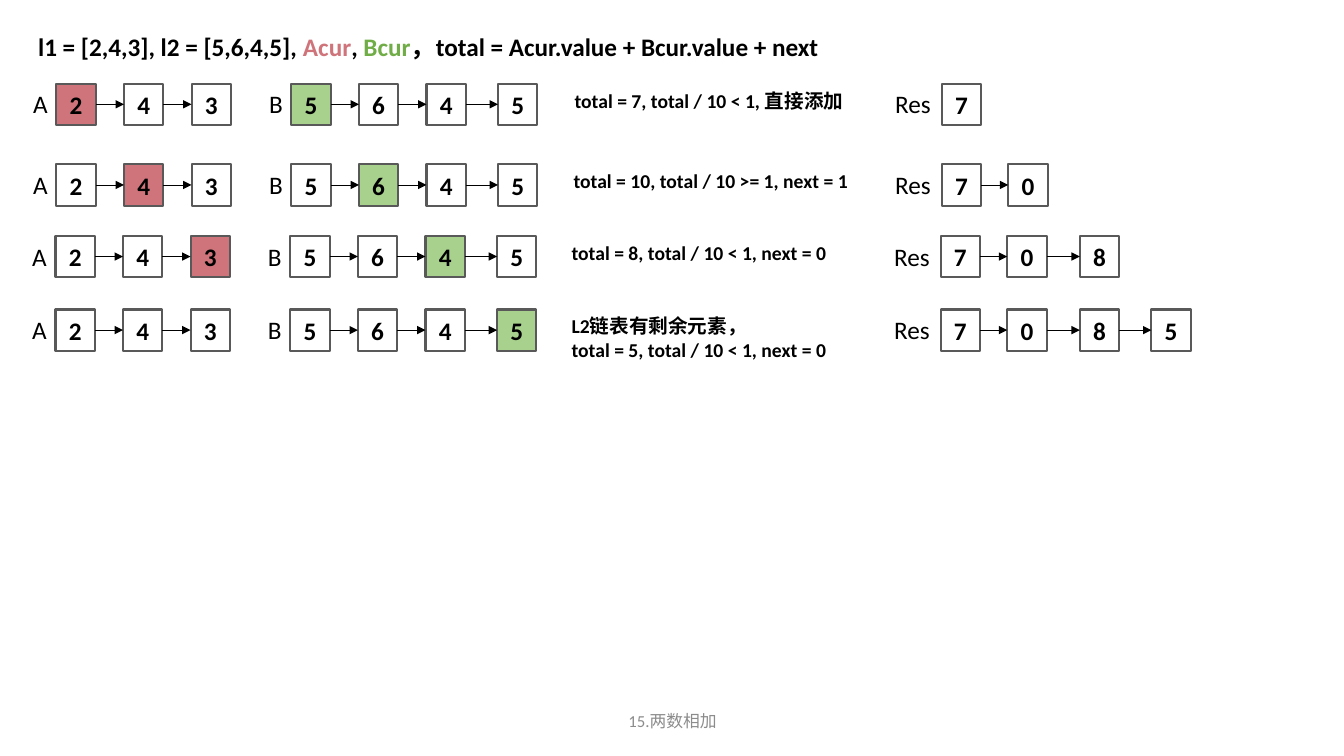
from dataclasses import dataclass

from lxml import etree
from pptx import Presentation
from pptx.dml.color import RGBColor
from pptx.enum.shapes import MSO_CONNECTOR, MSO_SHAPE
from pptx.enum.text import MSO_ANCHOR, MSO_AUTO_SIZE, PP_ALIGN
from pptx.oxml.ns import qn
from pptx.shapes.autoshape import Shape
from pptx.slide import Slide
from pptx.util import Inches, Pt

STRAIGHT = MSO_CONNECTOR.STRAIGHT
RECTANGLE = MSO_SHAPE.RECTANGLE
MIDDLE = MSO_ANCHOR.MIDDLE
TOP = MSO_ANCHOR.TOP
GROW = MSO_AUTO_SIZE.SHAPE_TO_FIT_TEXT
FIXED = MSO_AUTO_SIZE.NONE
LEFT = PP_ALIGN.LEFT
CENTER = PP_ALIGN.CENTER

BLACK = RGBColor(0x00, 0x00, 0x00)
WHITE = RGBColor(0xFF, 0xFF, 0xFF)
GRAY = RGBColor(0x8C, 0x8C, 0x8C)
BORDER = RGBColor(0x59, 0x59, 0x59)
RED = RGBColor(0xCF, 0x74, 0x7A)
GREEN = RGBColor(0x70, 0xAD, 0x47)
LIGHT_GREEN = RGBColor(0xA9, 0xD1, 0x8E)

FONT = "Calibri"
NODE_WIDTH, NODE_HEIGHT = 0.39, 0.41
LEFT_SIDE, RIGHT_SIDE = 1, 3


@dataclass(frozen=True)
class LinkedList:
    label: str
    label_left: float
    label_width: float
    left: float
    offsets: tuple[float, ...]
    highlight: RGBColor = WHITE


@dataclass(frozen=True)
class Step:
    top: float
    shift: float
    a_current: int | None
    b_current: int
    comment: str
    comment_left: float
    comment_width: float
    wrap: bool
    result: str


LIST_A = LinkedList("A", 0.23, 0.35, 0.56, (0, 0.67, 1.34), RED)
LIST_B = LinkedList("B", 2.57, 0.34, 2.89, (0, 0.67, 1.34, 2.05), LIGHT_GREEN)
RESULT = LinkedList("Res", 8.78, 0.56, 9.34, (0, 0.66, 1.38, 2.09))

STEPS = (
    Step(0.83, 0, 0, 0, "total = 7, total / 10 < 1, 直接添加", 5.6, 2.89, True, "7"),
    Step(1.63, 0, 1, 1, "total = 10, total / 10 >= 1, next = 1", 5.59, 2.94, False, "70"),
    Step(2.34, -0.01, 2, 2, "total = 8, total / 10 < 1, next = 0", 5.57, 2.75, False, "708"),
    Step(3.07, -0.01, None, 3, "L2链表有剩余元素，\ntotal = 5, total / 10 < 1, next = 0",
         5.57, 3.21, True, "7085"),
)

TITLE = (
    ("l1 = [2,4,3], l2 = [5,6,4,5], ", BLACK),
    ("Acur", RED),
    (", ", BLACK),
    ("Bcur", GREEN),
    ("，total = Acur.value + Bcur.value + next", BLACK),
)


def write_text(shape: Shape, *runs: tuple[str, RGBColor], size: float = 18,
               bold: bool = False, align: PP_ALIGN = LEFT, anchor: MSO_ANCHOR = TOP,
               wrap: bool = True, auto_size: MSO_AUTO_SIZE = FIXED) -> None:
    """Fill the shape with one paragraph of coloured runs; newlines become line breaks."""
    frame = shape.text_frame
    frame.word_wrap = wrap
    frame.auto_size = auto_size
    frame.vertical_anchor = anchor
    paragraph = frame.paragraphs[0]
    paragraph.alignment = align
    for text, color in runs:
        for index, line in enumerate(text.split("\n")):
            if index:
                paragraph.add_line_break()
            run = paragraph.add_run()
            run.text = line
            run.font.name = FONT
            run.font.size = Pt(size)
            run.font.bold = bold
            run.font.color.rgb = color


def add_text_box(slide: Slide, left: float, top: float, width: float, height: float) -> Shape:
    return slide.shapes.add_textbox(Inches(left), Inches(top), Inches(width), Inches(height))


def add_node(slide: Slide, value: str, left: float, top: float, fill: RGBColor) -> Shape:
    node = slide.shapes.add_shape(
        RECTANGLE, Inches(left), Inches(top), Inches(NODE_WIDTH), Inches(NODE_HEIGHT))
    node.shadow.inherit = False
    node.fill.solid()
    node.fill.fore_color.rgb = fill
    node.line.color.rgb = BORDER
    node.line.width = Pt(1.5)
    write_text(node, (value, BLACK), bold=True, align=CENTER, anchor=MIDDLE)
    return node


def add_arrow(slide: Slide, source: Shape, target: Shape) -> None:
    arrow = slide.shapes.add_connector(STRAIGHT, 0, 0, 0, 0)
    arrow.begin_connect(source, RIGHT_SIDE)
    arrow.end_connect(target, LEFT_SIDE)
    arrow.line.color.rgb = BLACK
    arrow.line.width = Pt(0.5)
    etree.SubElement(arrow.line._get_or_add_ln(), qn("a:tailEnd"), type="triangle")
    etree.SubElement(arrow._element.spPr, qn("a:effectLst"))


def add_linked_list(slide: Slide, linked_list: LinkedList, values: str,
                    step: Step, current: int | None = None) -> None:
    label = add_text_box(slide, linked_list.label_left + step.shift, step.top,
                         linked_list.label_width, 0.4)
    write_text(label, (linked_list.label, BLACK), wrap=False, auto_size=GROW)
    previous = None
    for index, (value, offset) in enumerate(zip(values, linked_list.offsets)):
        fill = linked_list.highlight if index == current else WHITE
        node = add_node(slide, value, linked_list.left + offset + step.shift, step.top, fill)
        if previous is not None:
            add_arrow(slide, previous, node)
        previous = node


def add_step(slide: Slide, step: Step) -> None:
    add_linked_list(slide, LIST_A, "243", step, step.a_current)
    add_linked_list(slide, LIST_B, "5645", step, step.b_current)
    height = 0.57 if "\n" in step.comment else 0.34
    comment = add_text_box(slide, step.comment_left, step.top, step.comment_width, height)
    write_text(comment, (step.comment, BLACK), size=14, bold=True,
               wrap=step.wrap, auto_size=GROW)
    add_linked_list(slide, RESULT, step.result, step)


def main() -> None:
    presentation = Presentation()
    presentation.slide_width = Inches(13.33)
    presentation.slide_height = Inches(7.5)
    slide = presentation.slides.add_slide(presentation.slide_layouts[6])

    footer = add_text_box(slide, 4.42, 6.95, 4.5, 0.4)
    write_text(footer, ("15.两数相加", GRAY), size=12, align=CENTER, anchor=MIDDLE)
    title = add_text_box(slide, 0.28, 0.26, 8.94, 0.4)
    write_text(title, *TITLE, bold=True, auto_size=GROW)
    for step in STEPS:
        add_step(slide, step)

    presentation.save("out.pptx")


if __name__ == "__main__":
    main()
